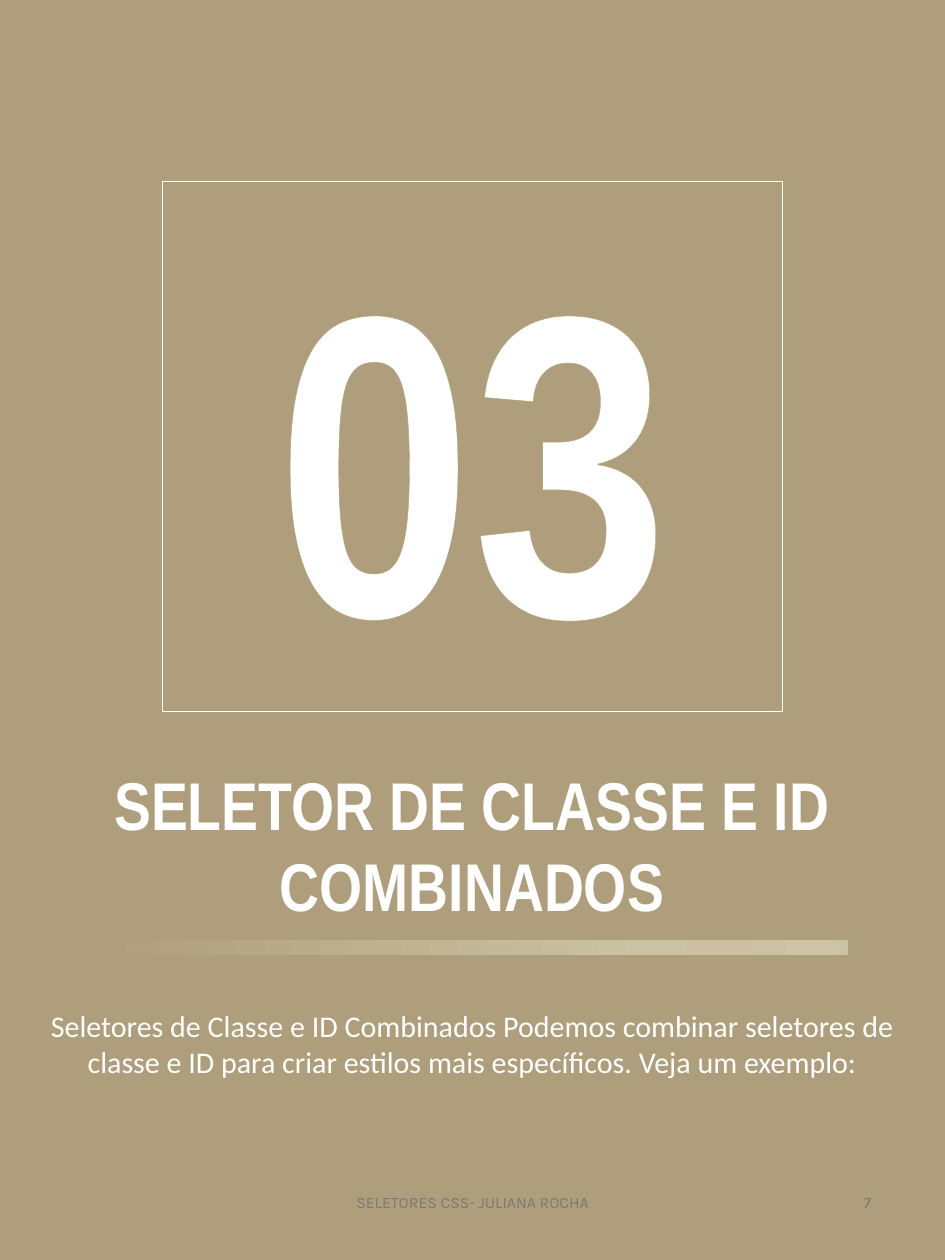
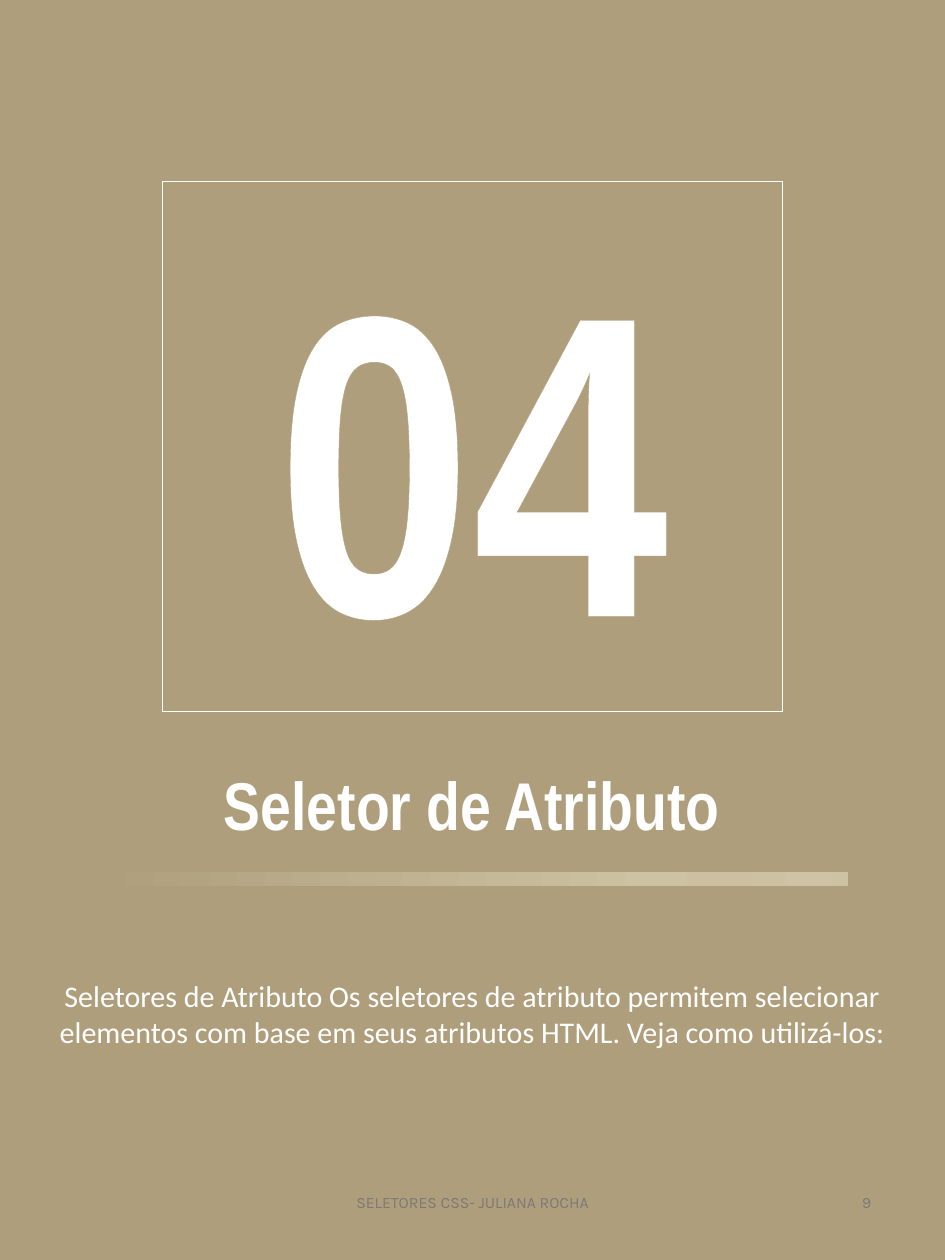
from copy import deepcopy

from lxml.etree import SubElement
from pptx import Presentation
from pptx.dml.color import RGBColor
from pptx.enum.shapes import MSO_SHAPE
from pptx.enum.text import MSO_ANCHOR, MSO_AUTO_SIZE, PP_ALIGN
from pptx.oxml.ns import qn
from pptx.util import Inches, Pt

SAND = RGBColor(0xAF, 0x9E, 0x7B)
WHITE = RGBColor(0xFF, 0xFF, 0xFF)
GRAY = RGBColor(0x79, 0x79, 0x79)
PALE = RGBColor(0xCB, 0xC3, 0xA3)
BAR_STOPS = [
    (0, SAND),
    (0.74, PALE),
    (0.83, RGBColor(0xCC, 0xBF, 0xA2)),
    (0.96, RGBColor(0xCE, 0xC2, 0xA7)),
    (1, PALE),
]
FOOTER = "SELETORES CSS- JULIANA ROCHA"

CHAPTERS = [
    ("03", "SELETOR DE CLASSE E ID COMBINADOS", 1.92, 10.45, 11.14,
     "Seletores de Classe e ID Combinados Podemos combinar seletores de classe "
     "e ID para criar estilos mais específicos. Veja um exemplo:", "7"),
    ("04", "Seletor de Atributo", 1.01, 9.69, 10.81,
     "Seletores de Atributo Os seletores de atributo permitem selecionar "
     "elementos com base em seus atributos HTML. Veja como utilizá-los:", "9"),
]


def add_rect(s, x, y, w, h):
    sp = s.shapes.add_shape(MSO_SHAPE.RECTANGLE, Inches(x), Inches(y), Inches(w), Inches(h))
    sp.shadow.inherit = False
    sp.line.fill.background()
    return sp


def write(sp, text, font, size, color, bold=False, align=PP_ALIGN.CENTER, footer=False):
    tf = sp.text_frame
    tf.word_wrap = True
    tf.auto_size = MSO_AUTO_SIZE.NONE if footer else MSO_AUTO_SIZE.SHAPE_TO_FIT_TEXT
    tf.vertical_anchor = MSO_ANCHOR.MIDDLE if footer else MSO_ANCHOR.TOP
    tf.text = text
    p = tf.paragraphs[0]
    p.alignment = align
    r = p.runs[0]
    r.font.name = font
    r.font.size = Pt(size)
    r.font.bold = bold
    r.font.color.rgb = color
    return r


prs = Presentation()
prs.slide_width = Inches(10.5)
prs.slide_height = Inches(14)

for number, title, title_h, bar_y, intro_y, intro, page in CHAPTERS:
    s = prs.slides.add_slide(prs.slide_layouts[6])

    back = add_rect(s, 0, 0, 10.5, 14)
    back.fill.solid()
    back.fill.fore_color.rgb = SAND
    back.line.color.rgb = SAND
    back.line.width = Pt(1.5)

    sp = s.shapes.add_textbox(Inches(0.42), Inches(8.43), Inches(9.65), Inches(title_h))
    write(sp, title, "Arial Narrow", 54, WHITE, bold=True)

    frame = add_rect(s, 1.8, 2.02, 6.9, 5.89)
    frame.fill.background()
    frame.line.color.rgb = WHITE
    frame.line.width = Pt(0.75)
    r = write(frame, number, "Arial Narrow", 344, WHITE, bold=True)
    rPr = r.font._element
    ln = SubElement(rPr, qn("a:ln"), w=str(Pt(0.75)))
    SubElement(SubElement(ln, qn("a:solidFill")), qn("a:srgbClr"), val=str(SAND))
    rPr.insert(0, ln)

    bar = add_rect(s, 1.09, bar_y, 8.33, 0.16)
    bar.fill.gradient()
    bar.fill.gradient_angle = 0
    gs_list = bar._element.spPr.find(".//" + qn("a:gsLst"))
    while len(gs_list) < len(BAR_STOPS):
        gs_list.append(deepcopy(gs_list[0]))
    for stop, (position, color) in zip(bar.fill.gradient_stops, BAR_STOPS):
        stop.position = position
        stop.color.rgb = color

    sp = s.shapes.add_textbox(Inches(0.42), Inches(intro_y), Inches(9.65), Inches(0.91))
    write(sp, intro, "Calibri", 24, WHITE)

    for x, w, text, align in [(3.48, 3.54, FOOTER, PP_ALIGN.CENTER),
                              (7.42, 2.36, page, PP_ALIGN.RIGHT)]:
        sp = s.shapes.add_textbox(Inches(x), Inches(12.98), Inches(w), Inches(0.75))
        write(sp, text, "Karla", 12.6, GRAY, align=align, footer=True)

prs.save("out.pptx")
